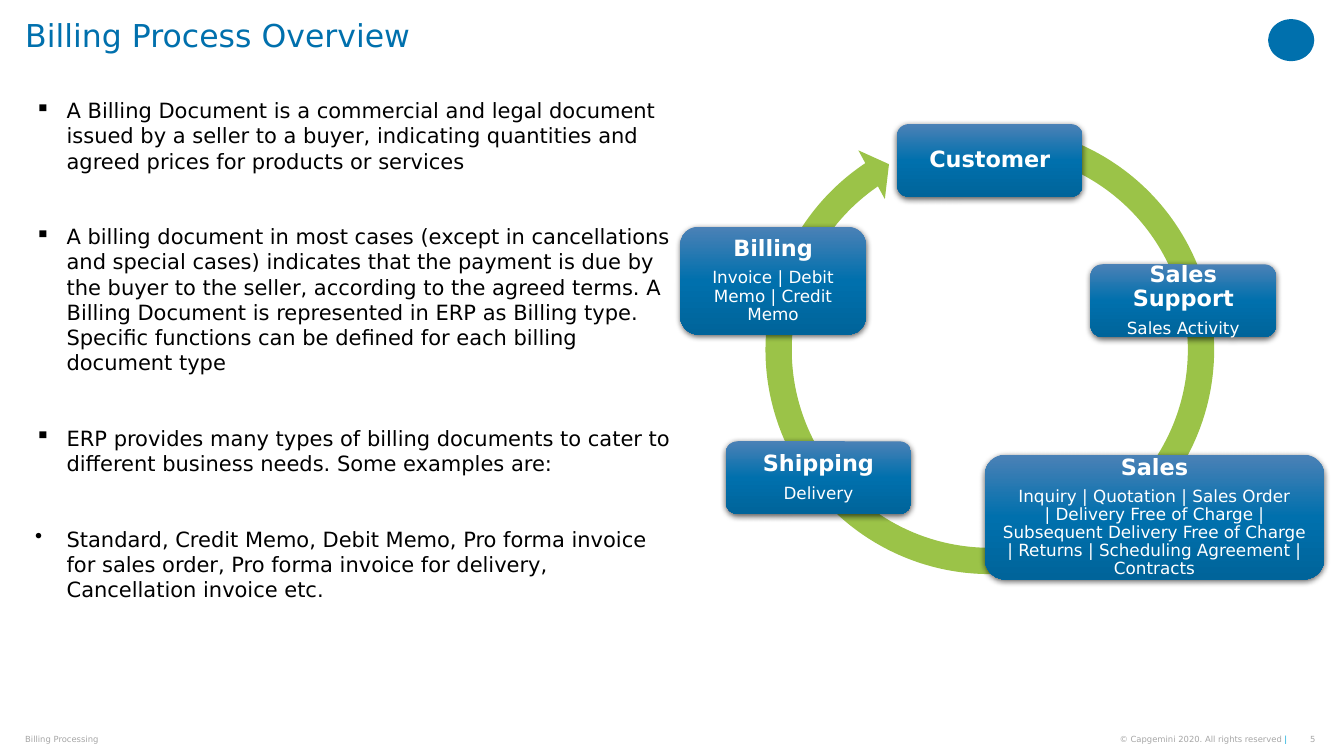
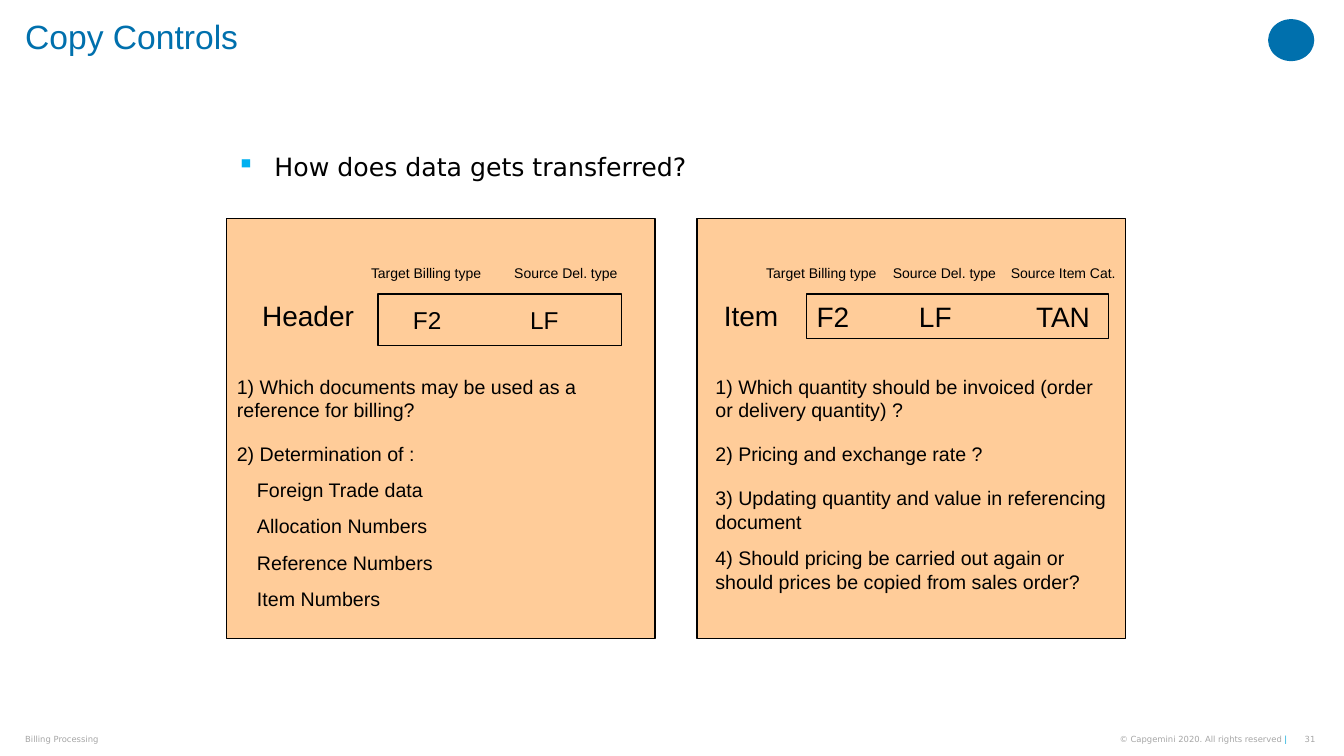
from pptx import Presentation
from pptx.dml.color import RGBColor
from pptx.enum.shapes import MSO_SHAPE
from pptx.enum.text import MSO_ANCHOR, MSO_AUTO_SIZE, PP_ALIGN
from pptx.oxml import parse_xml
from pptx.oxml.ns import nsdecls
from pptx.util import Pt

HUES = {
    "blue": "0070AD", "light": "4B81B6", "deep": "00649A", "cyan": "12ABDB",
    "dot": "00B0F0", "green": "9BC348", "peach": "FFCC99", "grey": "A6A6A6",
    "ink": "000000", "white": "FFFFFF",
}
SANS, ARIAL = "DejaVu Sans", "Arial"
LEFT, MID, RIGHT = PP_ALIGN.LEFT, PP_ALIGN.CENTER, PP_ALIGN.RIGHT
TOP, HALF = MSO_ANCHOR.TOP, MSO_ANCHOR.MIDDLE


def hue(name):
    return RGBColor.from_string(HUES[name])


def set_up(frame, pads=(0, 0, 0, 0), anchor=TOP, wrap=True):
    """Set the insets (left, top, right, bottom), anchor and wrapping."""
    frame.auto_size = MSO_AUTO_SIZE.NONE
    frame.word_wrap = wrap
    frame.vertical_anchor = anchor
    (frame.margin_left, frame.margin_top,
     frame.margin_right, frame.margin_bottom) = map(Pt, pads)
    return frame


def add_box(slide, box, **setup):
    return set_up(slide.shapes.add_textbox(*map(Pt, box)).text_frame, **setup)


def write(frame, text, size=15, color="ink", font=SANS, bold=False,
          align=LEFT, line=None, before=0, after=0, left=0, hang=0,
          bullet=None, dot="ink"):
    """Add one paragraph; text is a string or a list of (string, color)."""
    para = frame.paragraphs[0]
    if frame.text:
        para = frame.add_paragraph()
        para.space_before = Pt(before)
    para.alignment = align
    para.space_after = Pt(after)
    if line:
        para.line_spacing = line
    props = para._p.get_or_add_pPr()
    props.set("marL", str(Pt(left)))
    props.set("indent", str(Pt(-hang)))
    if bullet:
        props.append(parse_xml(
            f'<a:buClr {nsdecls("a")}><a:srgbClr val="{HUES[dot]}"/></a:buClr>'))
        props.append(parse_xml(f'<a:buChar {nsdecls("a")} char="{bullet}"/>'))
    parts = [(text, color)] if isinstance(text, str) else text
    for words, tint in parts:
        for i, row in enumerate(words.split("\n")):
            if i:
                para.add_line_break()
            run = para.add_run()
            run.text = row
            run.font.size, run.font.name = Pt(size), font
            run.font.bold = bold
            run.font.color.rgb = hue(tint)


def draw(slide, kind, box, fill=None, line=None):
    shape = slide.shapes.add_shape(kind, *map(Pt, box))
    shape.shadow.inherit = False
    if fill:
        shape.fill.solid()
        shape.fill.fore_color.rgb = hue(fill)
    else:
        shape.fill.background()
    if line:
        shape.line.color.rgb = hue(line)
        shape.line.width = Pt(1)
    else:
        shape.line.fill.background()
    return shape


def start(deck, title, number, **style):
    """Add a slide with its title, emblem and footer."""
    slide = deck.slides.add_slide(deck.slide_layouts[5])
    head = slide.shapes.title
    head.left, head.top, head.width, head.height = map(Pt, (18, 0, 876, 57))
    write(set_up(head.text_frame, pads=(0, 14.4, 0, 0)), title,
          color="blue", line=0.9, **style)
    draw(slide, MSO_SHAPE.OVAL, (905.8, 13.7, 33, 30), fill="blue")
    rights = [("© Capgemini 2020. All rights reserved ", "grey"), ("|", "cyan")]
    for x, width, text, align in (
            (18, 371.5, "Billing Processing", LEFT),
            (710, 209.5, rights, RIGHT),
            (919.6, 20, number, RIGHT)):
        foot = add_box(slide, (x, 523.5, width, 9.4), anchor=HALF)
        write(foot, text, size=6, color="grey", align=align)
    return slide


def add_points(slide, box, points):
    frame = add_box(slide, box, pads=(7.2, 3.6, 7.2, 3.6))
    for bullet, text in points:
        write(frame, text, before=36, left=22.5, hang=22.5, bullet=bullet)


def add_node(slide, box, name, detail):
    """Add a glossy rounded box with a bold name and a line of detail."""
    node = draw(slide, MSO_SHAPE.ROUNDED_RECTANGLE, box, fill="blue")
    props = node._element.spPr
    stops = "".join(
        f'<a:gs pos="{spot}"><a:srgbClr val="{HUES[tint]}"/></a:gs>'
        for spot, tint in ((0, "light"), (50000, "blue"), (100000, "deep")))
    blend = parse_xml(
        f'<a:gradFill {nsdecls("a")} rotWithShape="1"><a:gsLst>{stops}</a:gsLst>'
        '<a:lin ang="5400000" scaled="0"/></a:gradFill>')
    props.replace(props.solidFill, blend)
    shade = parse_xml(
        f'<a:effectLst {nsdecls("a")}><a:outerShdw blurRad="{Pt(4.5)}" '
        f'dist="{Pt(1.5)}" dir="5400000" algn="ctr" rotWithShape="0">'
        f'<a:srgbClr val="{HUES["ink"]}"><a:alpha val="63000"/></a:srgbClr>'
        '</a:outerShdw></a:effectLst>')
    props.replace(props.effectLst, shade)
    frame = set_up(node.text_frame, pads=(5, 5, 5, 5), anchor=HALF)
    style = dict(color="white", align=MID, line=0.9)
    write(frame, name, size=16, bold=True, after=5.6, **style)
    if detail:
        write(frame, detail, size=12, **style)


def add_cycle(slide, box, nodes):
    """Add a ring arrow with nodes placed relative to its box."""
    x, y, side = box
    ring = draw(slide, MSO_SHAPE.CIRCULAR_ARROW, (x, y, side, side), fill="green")
    for i, value in enumerate((0.055, 3.307, 141.581, 171.575, 0.058)):
        ring.adjustments[i] = value
    for dx, dy, width, height, name, detail in nodes:
        add_node(slide, (x + dx, y + dy, width, height), name, detail)


def add_panel(slide, box, label, key, cells, items, size, inset):
    """Add a panel: label, key box with captioned cells, list of items."""
    x, y, width, height = box
    draw(slide, MSO_SHAPE.RECTANGLE, box, fill="peach", line="ink")
    dx, wide, tall = key
    draw(slide, MSO_SHAPE.RECTANGLE, (x + dx, y + 54, wide, tall), line="ink")
    middle = 54 + tall / 2

    def put(left, centre, text, points):
        spot = add_box(slide, (x + left, y + centre - 12, 90, 24),
                       anchor=HALF, wrap=False)
        write(spot, text, size=points, font=ARIAL)

    put(label[0], 69, label[1], 20)
    for top, caption, low, value in cells:
        put(top, 39, caption, 10)
        put(low, middle, value, size)
    frame = add_box(slide, (x + inset, y + 111.5, width - inset - 9,
                            height - 111.5))
    for gap, left, text in items:
        write(frame, text, size=14, font=ARIAL, before=gap, left=left)


def build_overview(deck):
    slide = start(deck, "Billing Process Overview", "5", size=22.5)
    add_points(slide, (18, 66.25, 471.6, 417.6), (
        ("▪", "A Billing Document is a commercial and legal document issued by "
              "a seller to a buyer, indicating quantities and agreed prices "
              "for products or services"),
        ("▪", "A billing document in most cases (except in cancellations and "
              "special cases) indicates that the payment is due by the buyer "
              "to the seller, according to the agreed terms. A Billing Document "
              "is represented in ERP as Billing type. Specific functions can "
              "be defined for each billing document type"),
        ("▪", "ERP provides many types of billing documents to cater to "
              "different business needs. Some examples are:"),
        ("•", "Standard, Credit Memo, Debit Memo, Pro forma invoice for sales "
              "order, Pro forma invoice for delivery, Cancellation invoice etc."),
    ))
    add_cycle(slide, (536.4, 79.2, 341.3), (
        (104.4, 9.4, 132.5, 52, "Customer", None),
        (242.6, 109.6, 132.5, 52, "Sales Support", "Sales Activity"),
        (167, 245.5, 242.6, 89.3, "Sales",
         "Inquiry | Quotation | Sales Order\n| Delivery Free of Charge | "
         "Subsequent Delivery Free of Charge | Returns | "
         "Scheduling Agreement | Contracts"),
        (-18, 236, 132.5, 52, "Shipping", "Delivery"),
        (-50.4, 82.8, 132.5, 77, "Billing", "Invoice | Debit Memo | Credit Memo"),
    ))


def build_controls(deck):
    slide = start(deck, "Copy Controls", "31", size=24, font=ARIAL)
    ask = add_box(slide, (162, 104.4, 540, 28.8), pads=(7.2, 3.6, 7.2, 3.6))
    write(ask, "How does data gets transferred?", size=18,
          left=27, hang=27, bullet="▪", dot="dot")
    target, source = "Target Billing type", "Source Del. type"
    add_panel(
        slide, (162, 156, 306, 300), (25.2, "Header"), (108, 174, 37),
        ((103, target, 133, "F2"), (205.3, source, 216.6, "LF")),
        ((0, 0, "1) Which documents may be used as a reference for billing?"),
         (14.4, 0, "2) Determination of :"),
         *((9.1, 14.4, text) for text in (
             "Foreign Trade data", "Allocation Numbers",
             "Reference Numbers", "Item Numbers"))),
        size=17.4, inset=7.2)
    add_panel(
        slide, (498, 156, 306, 300), (19, "Item"), (78, 216, 32),
        ((49.3, target, 85.3, "F2"), (139.7, source, 158.4, "LF"),
         (224.1, "Source Item Cat.", 242, "TAN")),
        ((0, 0, "1) Which quantity should be invoiced (order or delivery "
                "quantity) ?"),
         (14.4, 0, "2) Pricing and exchange rate ?"),
         (15, 0, "3) Updating quantity and value in referencing document"),
         (9, 0, "4) Should pricing be carried out again or should prices be "
                "copied from sales order?")),
        size=20, inset=13)


def main():
    deck = Presentation()
    deck.slide_width, deck.slide_height = Pt(960), Pt(540)
    build_overview(deck)
    build_controls(deck)
    deck.save("out.pptx")


if __name__ == "__main__":
    main()
